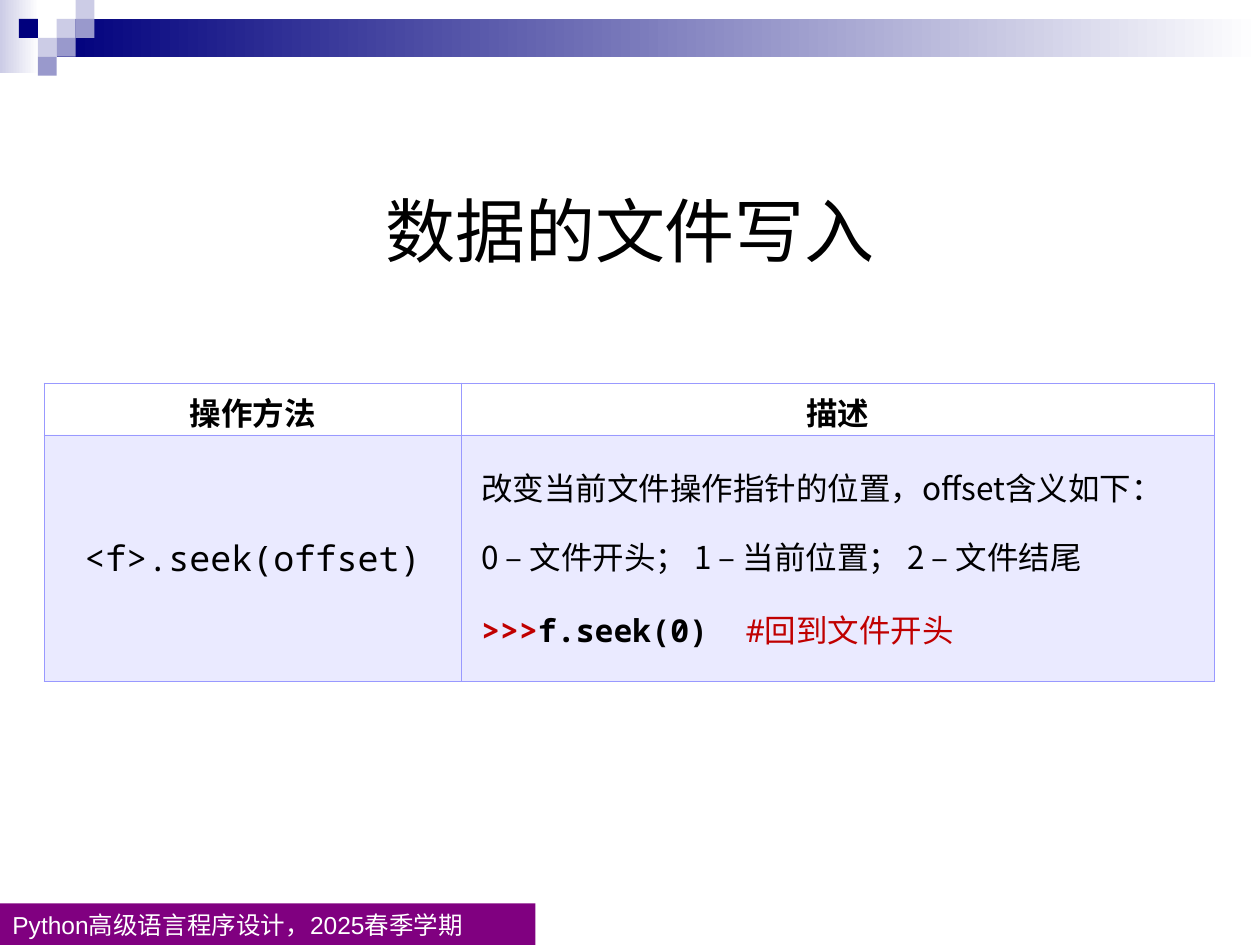
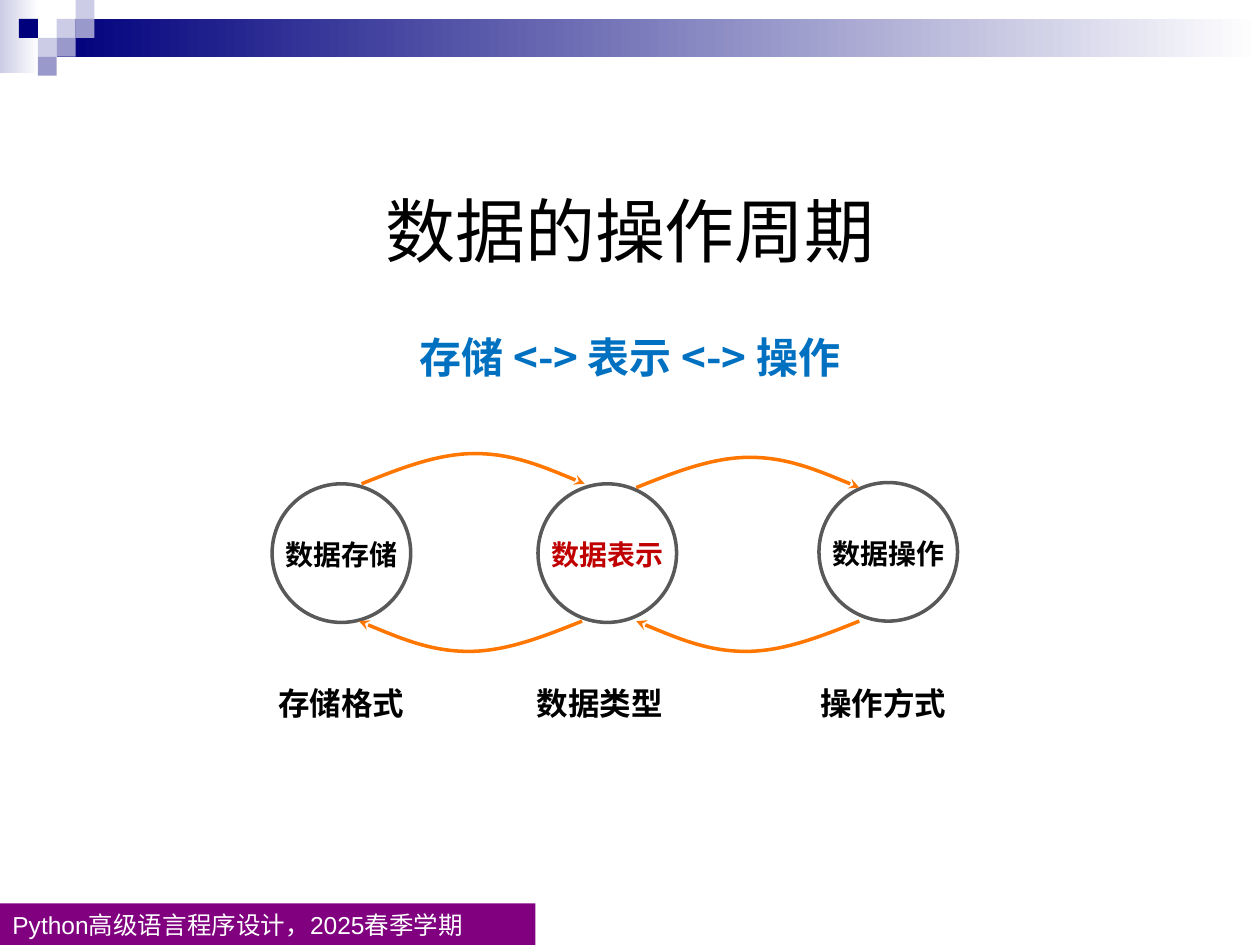
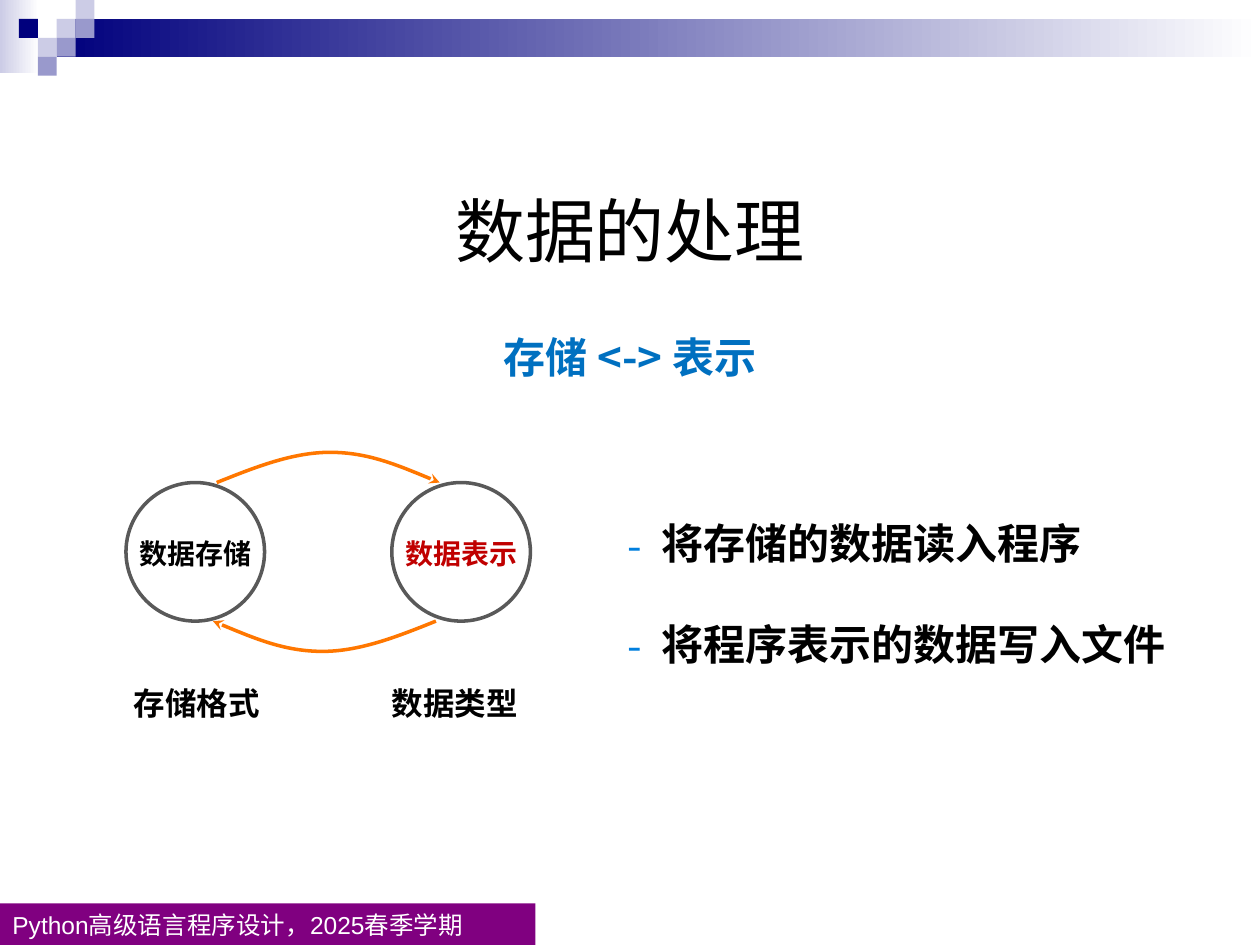
from lxml import etree
from pptx import Presentation
from pptx.dml.color import RGBColor
from pptx.enum.shapes import MSO_SHAPE as SHAPE
from pptx.enum.text import MSO_ANCHOR as ANCHOR, MSO_AUTO_SIZE as AUTO, PP_ALIGN as ALIGN
from pptx.oxml.ns import qn
from pptx.util import Inches, Pt

COLORS = {
    "black": "000000", "white": "FFFFFF", "navy": "00007D", "pale": "CCCCE6",
    "lilac": "9999CC", "purple": "800080", "blue": "0070C0", "dash": "007FDE",
    "red": "C00000", "ring": "595959", "orange": "FF7700", "grid": "9999FF",
}
SANS, MONO, LATIN = "Noto Sans CJK SC", "Noto Sans Mono", "Arial"
FOOTER = "Python高级语言程序设计，2025春季学期"

# Header squares on a grid of UNIT inches: column, row, colour
UNIT = 0.15
SQUARES = [(3, 1, "pale"), (4, 0, "pale"), (4, 1, "lilac"), (2, 2, "pale"),
           (1, 1, "navy"), (3, 2, "lilac"), (2, 3, "lilac")]

# Control points of a cycle arrow, measured from its start
ARC = [(0.3, 0.12), (0.6, 0.24), (0.9, 0.24), (1.2, 0.24), (1.48, 0.12), (1.77, 0)]


def rgb(name):
    return RGBColor.from_string(COLORS[name])


def add_xml(parent, tag, **attrs):
    return etree.SubElement(parent, qn(tag), attrs)


def set_font(font, size, color="black", name=SANS, bold=False):
    font.size, font.bold = Pt(size), bold
    font.color.rgb = rgb(color)
    font.name = name
    add_xml(font._element, "a:ea", typeface=SANS)


def set_margins(box, left, top, right, bottom):
    box.margin_left, box.margin_top = Inches(left), Inches(top)
    box.margin_right, box.margin_bottom = Inches(right), Inches(bottom)


# Basic elements
def add_shape(s, kind, x, y, w, h):
    sp = s.shapes.add_shape(kind, Inches(x), Inches(y), Inches(w), Inches(h))
    sp.shadow.inherit = False
    sp.line.fill.background()
    return sp


def add_rect(s, x, y, w, h, color, fade=False):
    sp = add_shape(s, SHAPE.RECTANGLE, x, y, w, h)
    if fade:
        sp.fill.gradient()
        sp.fill.gradient_angle = 0
        for stop, stop_color in zip(sp.fill.gradient_stops, (color, "white")):
            stop.color.rgb = rgb(stop_color)
    else:
        sp.fill.solid()
        sp.fill.fore_color.rgb = rgb(color)
    return sp


def add_text(s, x, y, w, h, text, size, color="black", name=SANS, spacing=1.0):
    tf = s.shapes.add_textbox(Inches(x), Inches(y), Inches(w), Inches(h)).text_frame
    tf.word_wrap = True
    p = tf.paragraphs[0]
    p.text, p.alignment, p.line_spacing = text, ALIGN.CENTER, spacing
    set_font(p.font, size, color, name, bold=True)


# Shared slide frame
def add_slide(prs, title):
    s = prs.slides.add_slide(prs.slide_layouts[5])
    add_rect(s, 0, 0, 0.31, 0.58, "pale", fade=True)
    add_rect(s, 0.45, 0.15, 9.55, 0.3, "navy", fade=True)
    for col, row, color in SQUARES:
        add_rect(s, col * UNIT, row * UNIT, UNIT, UNIT, color)

    footer = add_rect(s, 0, 7.17, 4.25, 0.34, "purple").text_frame
    set_margins(footer, 0.1, 0, 0.1, 0)
    footer.vertical_anchor = ANCHOR.MIDDLE
    p = footer.paragraphs[0]
    p.text, p.alignment = FOOTER, ALIGN.LEFT
    set_font(p.font, 14, "white", LATIN)

    sp = s.shapes.title
    sp.left, sp.top, sp.width, sp.height = 0, Inches(1.47), Inches(10), Inches(0.87)
    tf = sp.text_frame
    tf.auto_size, tf.vertical_anchor = AUTO.NONE, ANCHOR.MIDDLE
    set_margins(tf, 0, 0, 0, 0)
    p = tf.paragraphs[0]
    p.text, p.alignment, p.line_spacing = title, ALIGN.CENTER, 0.7
    set_font(p.font, 40)
    return s


def add_subtitle(s, text):
    add_text(s, 0, 2.38, 10, 0.7, text, 24, "blue", spacing=1.5)


# Data cycle
def add_stage(s, x, y, name, caption, caption_x, color="black"):
    ring = add_shape(s, SHAPE.OVAL, x, y, 1.1, 1.1)
    ring.fill.background()
    ring.line.color.rgb, ring.line.width = rgb("ring"), Pt(2)
    add_text(s, x - 0.06, y + 0.38, 1.22, 0.37, name, 16, color)
    add_text(s, caption_x, 5.38, 1.32, 0.4, caption, 18, name=MONO)


def add_arc(s, x, y, forward):
    """Forward arrows arch over to the right, the others dip under to the left."""
    sign = 1 if forward else -1
    builder = s.shapes.build_freeform(Inches(x), Inches(y))
    builder.add_line_segments(
        [(Inches(x + sign * dx), Inches(y - sign * dy)) for dx, dy in ARC], close=False)
    sp = builder.convert_to_shape()
    sp.shadow.inherit = False
    sp.fill.background()
    sp.line.color.rgb, sp.line.width = rgb("orange"), Pt(2)
    add_xml(sp.line._get_or_add_ln(), "a:tailEnd", type="stealth")
    # Turn each three line segments into one Bezier segment
    outline = sp._element.find(".//" + qn("a:path"))
    steps = outline.findall(qn("a:lnTo"))
    for i in range(0, len(steps), 3):
        curve = add_xml(outline, "a:cubicBezTo")
        for step in steps[i:i + 3]:
            curve.append(step[0])
            outline.remove(step)


def add_dash_list(s, x, y, w, h, items):
    tf = s.shapes.add_textbox(Inches(x), Inches(y), Inches(w), Inches(h)).text_frame
    tf.word_wrap = True
    for i, item in enumerate(items):
        p = tf.add_paragraph() if i else tf.paragraphs[0]
        p.text, p.line_spacing = item, 2.0
        pPr = p._p.get_or_add_pPr()
        pPr.set("marL", str(Inches(0.27)))
        pPr.set("indent", str(-Inches(0.27)))
        add_xml(add_xml(pPr, "a:buClr"), "a:srgbClr", val=COLORS["dash"])
        add_xml(pPr, "a:buFont", typeface=SANS)
        add_xml(pPr, "a:buChar", char="-")
        set_font(p.font, 24, bold=True)


# Method table
def style_cell(cell, shaded):
    cell.vertical_anchor = ANCHOR.MIDDLE
    tcPr = cell._tc.get_or_add_tcPr()
    for side in ("a:lnL", "a:lnR", "a:lnT", "a:lnB"):
        ln = add_xml(tcPr, side, w=str(Pt(0.5)))
        add_xml(add_xml(ln, "a:solidFill"), "a:srgbClr", val=COLORS["grid"])
    if shaded:
        cell.fill.solid()
        cell.fill.fore_color.rgb = rgb("grid")
        color = tcPr.find(qn("a:solidFill")).find(qn("a:srgbClr"))
        add_xml(color, "a:alpha", val="20000")
    else:
        cell.fill.background()


def add_method_table(s):
    table = s.shapes.add_table(2, 2, Inches(0.35), Inches(3.04),
                               Inches(9.29), Inches(2.34)).table
    table.first_row = table.horz_banding = False
    for col, width in zip(table.columns, (3.31, 5.98)):
        col.width = Inches(width)
    for row, height in zip(table.rows, (0.39, 1.95)):
        row.height = Inches(height)
    for r in range(2):
        for c in range(2):
            style_cell(table.cell(r, c), shaded=r == 1)

    for c, heading in enumerate(("操作方法", "描述")):
        cell = table.cell(0, c)
        set_margins(cell, 0.04, 0.05, 0.04, 0)
        p = cell.text_frame.paragraphs[0]
        p.text, p.alignment = heading, ALIGN.CENTER
        set_font(p.font, 18, bold=True)

    cell = table.cell(1, 0)
    set_margins(cell, 0.04, 0.05, 0.04, 0.05)
    p = cell.text_frame.paragraphs[0]
    p.text, p.alignment = "<f>.seek(offset)", ALIGN.CENTER
    set_font(p.font, 20, name=MONO)

    cell = table.cell(1, 1)
    set_margins(cell, 0.16, 0.05, 0.04, 0.24)
    tf = cell.text_frame
    tf.text = ("改变当前文件操作指针的位置，offset含义如下：\n"
               "0 – 文件开头； 1 – 当前位置； 2 – 文件结尾")
    for p in tf.paragraphs:
        p.line_spacing = 1.5
        set_font(p.font, 18)
    p = tf.add_paragraph()
    p.line_spacing = 1.6
    for text, color, bold in ((">>>", "red", True), ("f.seek(0)  ", "black", True),
                              ("#回到文件开头", "red", False)):
        run = p.add_run()
        run.text = text
        set_font(run.font, 18, color, MONO, bold)


def main():
    prs = Presentation()
    prs.slide_width, prs.slide_height = Inches(10), Inches(7.5)

    # Writing data to a file
    s = add_slide(prs, "数据的文件写入")
    add_method_table(s)

    # Full data cycle
    s = add_slide(prs, "数据的操作周期")
    add_subtitle(s, "存储 <-> 表示 <-> 操作")
    add_stage(s, 2.16, 3.84, "数据存储", "存储格式", 2.05)
    add_stage(s, 4.27, 3.84, "数据表示", "数据类型", 4.1, "red")
    add_stage(s, 6.5, 3.83, "数据操作", "操作方式", 6.35)
    for x, y, forward in ((2.87, 3.84, True), (4.62, 4.93, False),
                          (5.05, 3.87, True), (6.82, 4.93, False)):
        add_arc(s, x, y, forward)

    # Storage and representation
    s = add_slide(prs, "数据的处理")
    add_subtitle(s, "存储 <-> 表示")
    add_stage(s, 1, 3.83, "数据存储", "存储格式", 0.9)
    add_stage(s, 3.11, 3.83, "数据表示", "数据类型", 2.95, "red")
    add_arc(s, 1.72, 3.83, True)
    add_arc(s, 3.46, 4.93, False)
    add_dash_list(s, 4.88, 3.66, 4.57, 1.7, ["将存储的数据读入程序", "将程序表示的数据写入文件"])

    prs.save("out.pptx")


if __name__ == "__main__":
    main()
